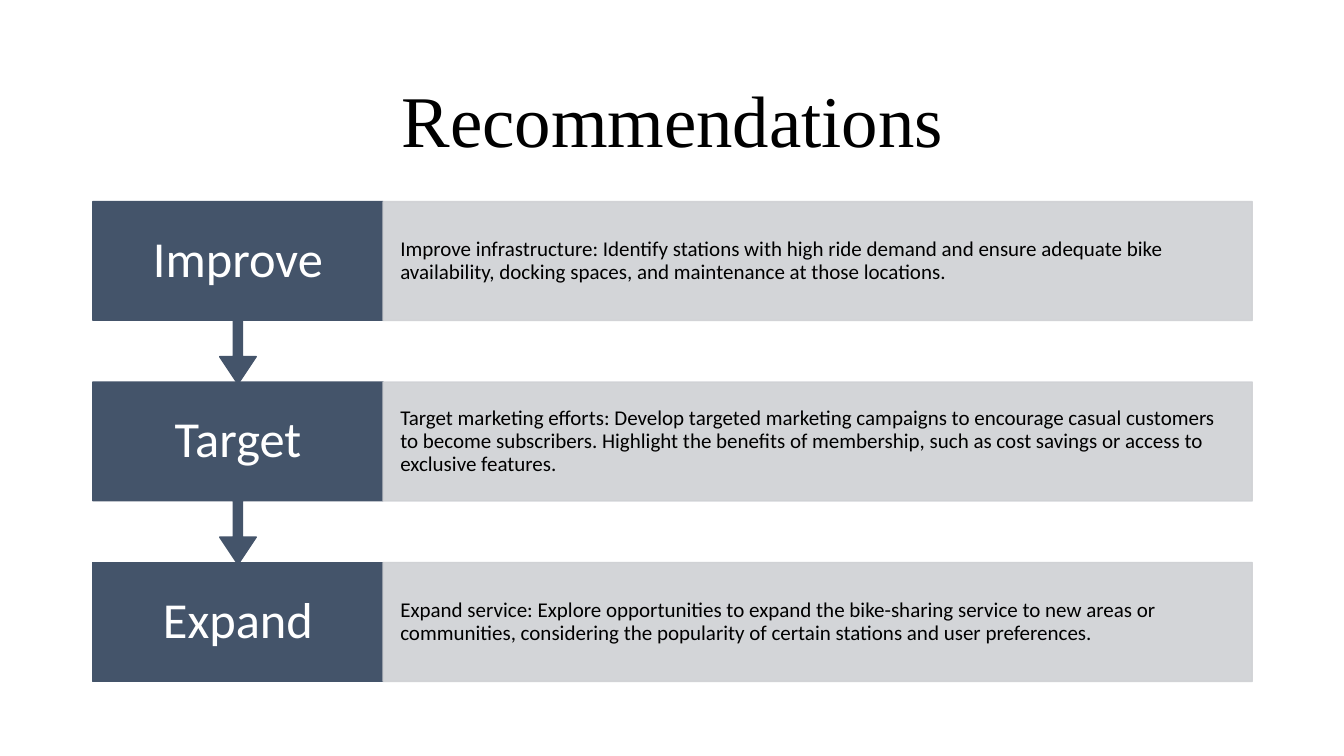
from lxml.etree import SubElement
from pptx import Presentation
from pptx.dml.color import RGBColor
from pptx.enum.shapes import MSO_SHAPE as Preset
from pptx.enum.text import MSO_ANCHOR as Anchor, PP_ALIGN as Align
from pptx.oxml.ns import qn
from pptx.util import Pt

EMU_PER_PX = 9144  # 100 px to the inch
SLIDE_WIDTH, SLIDE_HEIGHT = 1333, 750
LEFT, TOP, ROW_HEIGHT, ROW_PITCH = 92, 200, 118, 179
LABEL_WIDTH, DETAIL_WIDTH, CALLOUT_HEIGHT = 288, 862, 181
CALLOUT_ADJUSTMENTS = (0.05, 0.1, 0.15, 0.65)

STEPS = [
    ("Improve", "Improve infrastructure: Identify stations with high ride demand and ensure "
     "adequate bike availability, docking spaces, and maintenance at those locations."),
    ("Target", "Target marketing efforts: Develop targeted marketing campaigns to encourage "
     "casual customers to become subscribers. Highlight the benefits of membership, such as "
     "cost savings or access to exclusive features."),
    ("Expand", "Expand service: Explore opportunities to expand the bike-sharing service to new "
     "areas or communities, considering the popularity of certain stations and user preferences."),
]


def px(length):
    return round(length * EMU_PER_PX)


def rgb(value):
    return RGBColor.from_string(value)


class RecommendationSlide:
    TITLE = dict(name="Times New Roman", size=Pt(52), color="000000")
    LABEL = dict(name="Calibri", size=Pt(36), color="FFFFFF")
    DETAIL = dict(name="Calibri", size=Pt(15), color="000000")
    LABEL_FILL, DETAIL_FILL, DETAIL_OPACITY = "44546A", "CFD1D4", 90

    def __init__(self, deck):
        self.slide = deck.slides.add_slide(deck.slide_layouts[6])

    def set_text(self, shape, text, style, align, margin_x, margin_y):
        frame = shape.text_frame
        layout = dict(word_wrap=True, vertical_anchor=Anchor.MIDDLE,
                      margin_left=px(margin_x), margin_right=px(margin_x),
                      margin_top=px(margin_y), margin_bottom=px(margin_y))
        for key, value in layout.items():
            setattr(frame, key, value)
        paragraph = frame.paragraphs[0]
        paragraph.alignment = align
        paragraph.line_spacing = 0.9
        run = paragraph.add_run()
        run.text = text
        for key, value in style.items():
            if key == "color":
                run.font.color.rgb = rgb(value)
            else:
                setattr(run.font, key, value)

    def title(self, text, x, y, width, height):
        box = self.slide.shapes.add_textbox(px(x), px(y), px(width), px(height))
        self.set_text(box, text, self.TITLE, Align.CENTER, 10, 5)

    def block(self, preset, x, y, width, height, color, opacity=100):
        """Add a shape whose fill and outline share one colour and opacity in percent."""
        shape = self.slide.shapes.add_shape(preset, px(x), px(y), px(width), px(height))
        shape.shadow.inherit = False
        shape.fill.solid()
        shape.line.width = Pt(1)
        for paint in (shape.fill.fore_color, shape.line.color):
            paint.rgb = rgb(color)
        if opacity < 100:
            for srgb in shape.element.spPr.iter(qn("a:srgbClr")):
                SubElement(srgb, qn("a:alpha"), val=str(opacity * 1000))
        return shape

    def label(self, text, y, leads_on):
        """Add the dark step name, with a down arrow if another step follows."""
        preset, height = ((Preset.DOWN_ARROW_CALLOUT, CALLOUT_HEIGHT) if leads_on
                          else (Preset.RECTANGLE, ROW_HEIGHT))
        shape = self.block(preset, LEFT, y, LABEL_WIDTH, height, self.LABEL_FILL)
        if leads_on:
            for index, value in enumerate(CALLOUT_ADJUSTMENTS):
                shape.adjustments[index] = value
        self.set_text(shape, text, self.LABEL, Align.CENTER, 20, 28)

    def detail(self, text, y):
        shape = self.block(Preset.RECTANGLE, LEFT + LABEL_WIDTH, y, DETAIL_WIDTH, ROW_HEIGHT,
                           self.DETAIL_FILL, self.DETAIL_OPACITY)
        self.set_text(shape, text, self.DETAIL, Align.LEFT, 17, 21)


def main():
    deck = Presentation()
    deck.slide_width, deck.slide_height = px(SLIDE_WIDTH), px(SLIDE_HEIGHT)
    recommendations = RecommendationSlide(deck)
    recommendations.title("Recommendations", LEFT, 61, 1150, 124)
    # Bottom row first, so each arrow tip lies over the step below it
    for row, (name, advice) in reversed(list(enumerate(STEPS))):
        y = TOP + row * ROW_PITCH
        recommendations.label(name, y, leads_on=row < len(STEPS) - 1)
        recommendations.detail(advice, y)
    deck.save("out.pptx")


if __name__ == "__main__":
    main()
